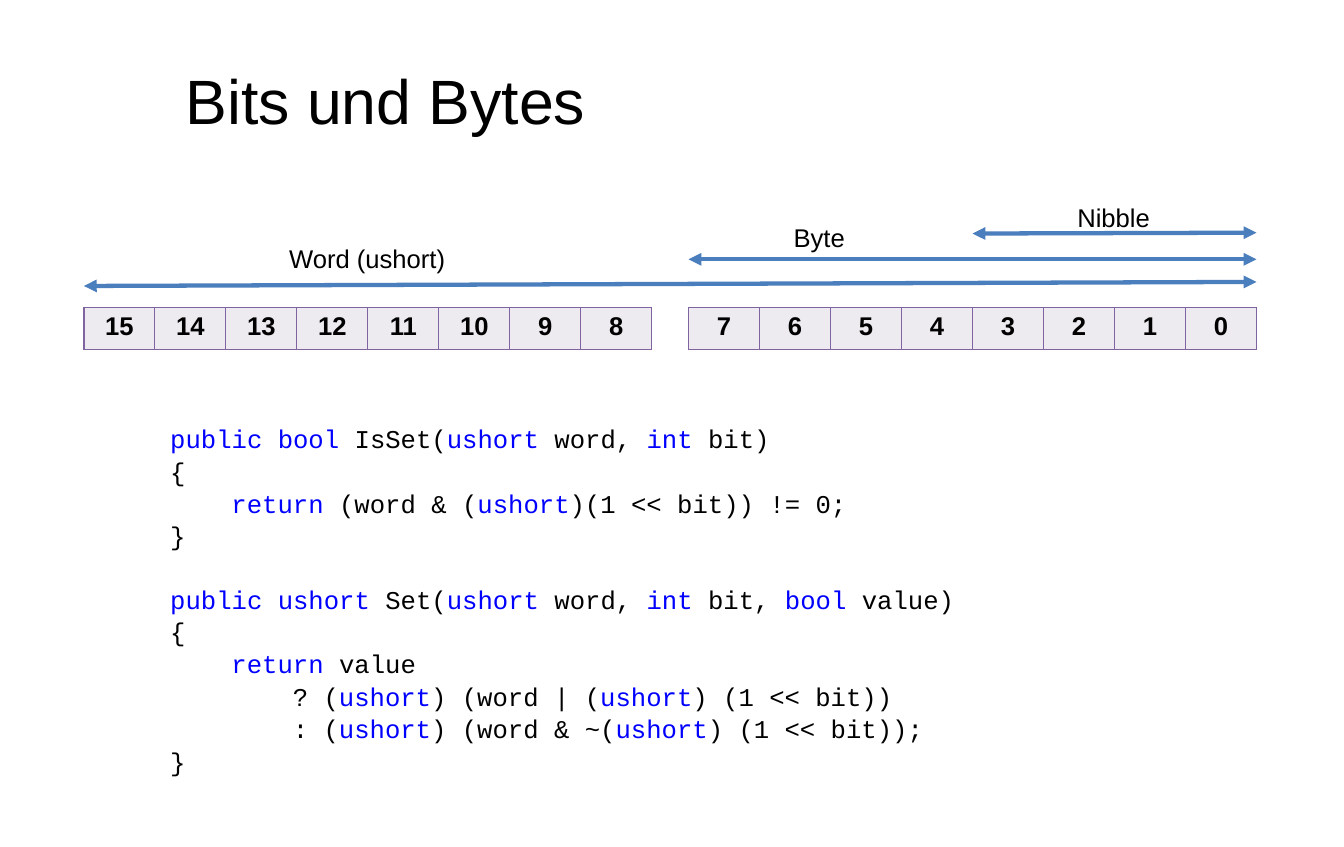
from dataclasses import dataclass

from lxml import etree
from pptx import Presentation
from pptx.dml.color import RGBColor
from pptx.enum.shapes import MSO_CONNECTOR
from pptx.enum.text import MSO_ANCHOR, PP_ALIGN
from pptx.oxml.ns import qn
from pptx.slide import Slide
from pptx.text.text import TextFrame
from pptx.util import Cm, Pt

STRAIGHT = MSO_CONNECTOR.STRAIGHT
MIDDLE = MSO_ANCHOR.MIDDLE
CENTER = PP_ALIGN.CENTER

BLACK = RGBColor(0x00, 0x00, 0x00)
KEYWORD_BLUE = RGBColor(0x00, 0x00, 0xFF)
ARROW_BLUE = RGBColor(0x4B, 0x7E, 0xBC)
BORDER_PURPLE = RGBColor(0x80, 0x64, 0xA2)
CELL_LILAC = RGBColor(0xED, 0xEA, 0xF0)

SANS = "Arial"
MONO = "Courier New"
BODY_SIZE = 18

# Bit grid, in centimetres
BIT_WIDTH = 1.76
HIGH_LEFT = 2.08
LOW_LEFT = 17.07
GRID_RIGHT = LOW_LEFT + 8 * BIT_WIDTH
GRID_TOP = 7.62
GRID_HEIGHT = 1.04

# Code metrics
CODE_INDENT = 1.52  # four characters, in centimetres
LINE_GAP = 1.2  # points
METHOD_GAP = 22.8  # points


@dataclass(frozen=True)
class BitRange:
    """A labelled double arrow over the bit grid, in centimetres."""
    label: str
    left: float
    left_y: float
    right_y: float
    label_left: float
    label_top: float
    label_width: float


@dataclass(frozen=True)
class CodeLine:
    """A line of code; keywords stand between backticks."""
    text: str
    indent: int = 0
    gap: float = LINE_GAP


BIT_RANGES = (
    BitRange("Nibble", LOW_LEFT + 4 * BIT_WIDTH, 5.79, 5.77, 26.44, 4.88, 2.34),
    BitRange("Byte", LOW_LEFT, 6.43, 6.43, 19.41, 5.38, 1.8),
    BitRange("Word (ushort)", HIGH_LEFT, 7.09, 6.99, 3.86, 5.89, 10.49),
)

CODE = (
    CodeLine("`public bool` IsSet(`ushort` word, `int` bit)"),
    CodeLine("{"),
    CodeLine("`return` (word & (`ushort`)(1 << bit)) != 0;", 1),
    CodeLine("}"),
    CodeLine("`public ushort` Set(`ushort` word, `int` bit, `bool` value)",
             gap=METHOD_GAP),
    CodeLine("{"),
    CodeLine("`return` value", 1),
    CodeLine("? (`ushort`) (word | (`ushort`) (1 << bit))", 2),
    CodeLine(": (`ushort`) (word & ~(`ushort`) (1 << bit));", 2),
    CodeLine("}"),
)


def add_span(para, text: str, font: str = SANS, size: float = BODY_SIZE,
             color: RGBColor = BLACK, bold: bool = False) -> None:
    span = para.add_run()
    span.text = text
    span.font.name = font
    span.font.size = Pt(size)
    span.font.color.rgb = color
    span.font.bold = bold


def add_frame(page: Slide, left: float, top: float, width: float,
              height: float, inset: bool = False) -> TextFrame:
    box = page.shapes.add_textbox(Cm(left), Cm(top), Cm(width), Cm(height))
    frame = box.text_frame
    frame.word_wrap = True
    if not inset:
        frame.margin_left = frame.margin_right = 0
        frame.margin_top = frame.margin_bottom = 0
    return frame


def add_title(page: Slide, text: str) -> None:
    frame = add_frame(page, 4.6, 0.84, 28.72, 3.5)
    frame.vertical_anchor = MIDDLE
    para = frame.paragraphs[0]
    para.line_spacing = 0.9
    add_span(para, text, size=44)


def add_border(cell) -> None:
    properties = cell._tc.get_or_add_tcPr()
    for side in ("a:lnL", "a:lnR", "a:lnT", "a:lnB"):
        line = etree.SubElement(properties, qn(side), w=str(Pt(1)))
        fill = etree.SubElement(line, qn("a:solidFill"))
        etree.SubElement(fill, qn("a:srgbClr"), val=str(BORDER_PURPLE))


def add_byte(page: Slide, left: float, top_bit: int) -> None:
    table = page.shapes.add_table(1, 8, Cm(left), Cm(GRID_TOP),
                                  Cm(8 * BIT_WIDTH), Cm(GRID_HEIGHT)).table
    table.first_row = False
    table.horz_banding = False
    for column in range(8):
        table.columns[column].width = Cm(BIT_WIDTH)
        cell = table.cell(0, column)
        add_border(cell)
        cell.fill.solid()
        cell.fill.fore_color.rgb = CELL_LILAC
        para = cell.text_frame.paragraphs[0]
        para.alignment = CENTER
        add_span(para, str(top_bit - column), bold=True)


def add_bit_range(page: Slide, bits: BitRange) -> None:
    arrow = page.shapes.add_connector(STRAIGHT, Cm(bits.left), Cm(bits.left_y),
                                      Cm(GRID_RIGHT), Cm(bits.right_y))
    arrow.line.color.rgb = ARROW_BLUE
    arrow.line.width = Pt(3)
    properties = arrow._element.spPr
    line = properties.find(qn("a:ln"))
    for end in ("a:headEnd", "a:tailEnd"):
        etree.SubElement(line, qn(end), type="triangle")
    etree.SubElement(properties, qn("a:effectLst"))

    frame = add_frame(page, bits.label_left, bits.label_top,
                      bits.label_width, 1.02, inset=True)
    frame.word_wrap = False
    para = frame.paragraphs[0]
    para.alignment = CENTER
    add_span(para, bits.label)


def add_code(page: Slide, lines: tuple[CodeLine, ...]) -> None:
    frame = add_frame(page, 4.22, 10.49, 27.5, 8.6)
    for number, line in enumerate(lines):
        para = frame.add_paragraph() if number else frame.paragraphs[0]
        para.space_before = Pt(line.gap)
        para._p.get_or_add_pPr().set("marL", str(Cm(line.indent * CODE_INDENT)))
        for part, text in enumerate(line.text.split("`")):
            if text:
                color = KEYWORD_BLUE if part % 2 else BLACK
                add_span(para, text, font=MONO, color=color)


def main() -> None:
    deck = Presentation()
    deck.slide_width = Cm(33.32)
    deck.slide_height = Cm(21)
    page = deck.slides.add_slide(deck.slide_layouts[6])

    add_title(page, "Bits und Bytes")
    add_code(page, CODE)

    # Low and high byte of the word
    add_byte(page, LOW_LEFT, 7)
    add_byte(page, HIGH_LEFT, 15)

    for bits in BIT_RANGES:
        add_bit_range(page, bits)

    deck.save("out.pptx")


if __name__ == "__main__":
    main()
